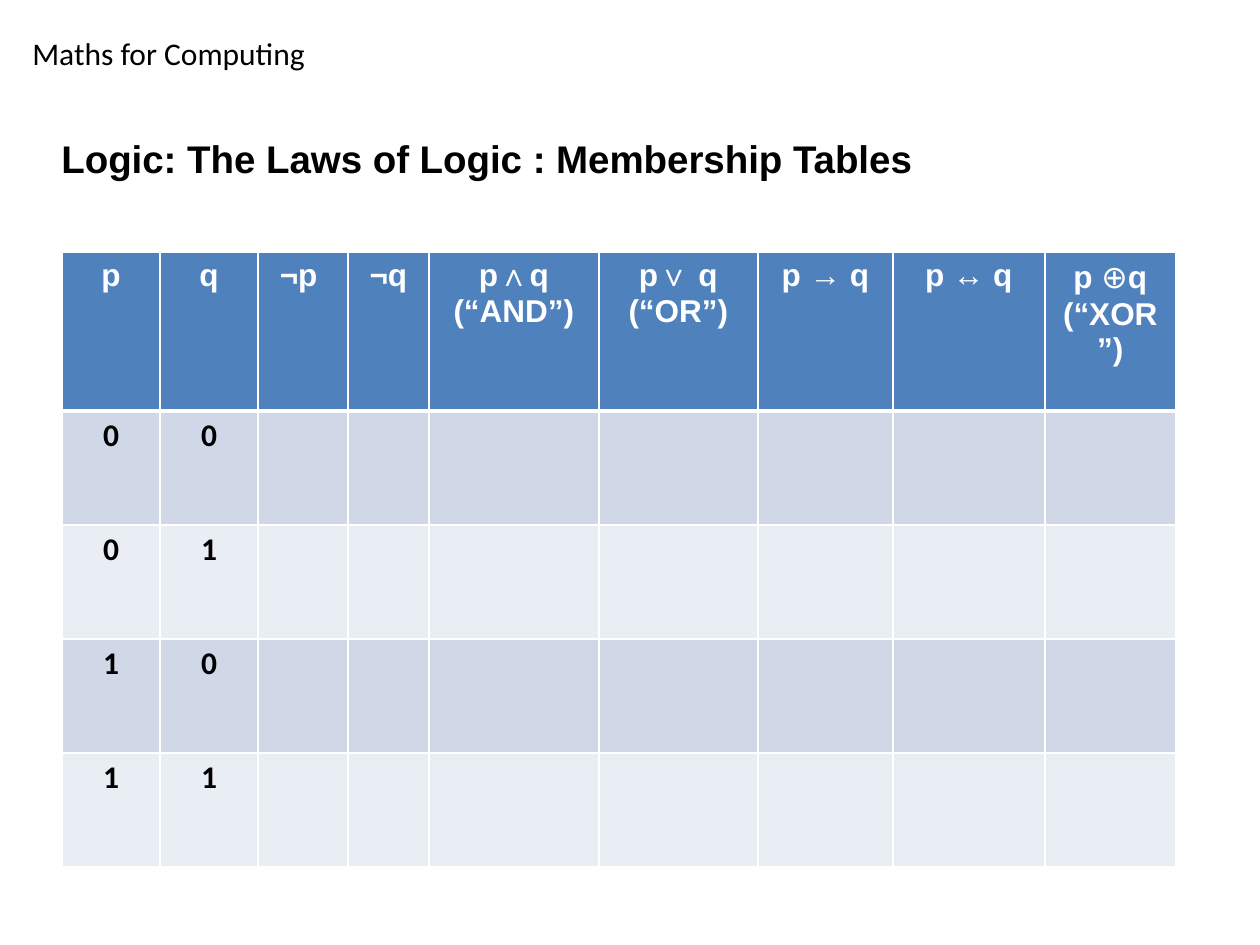
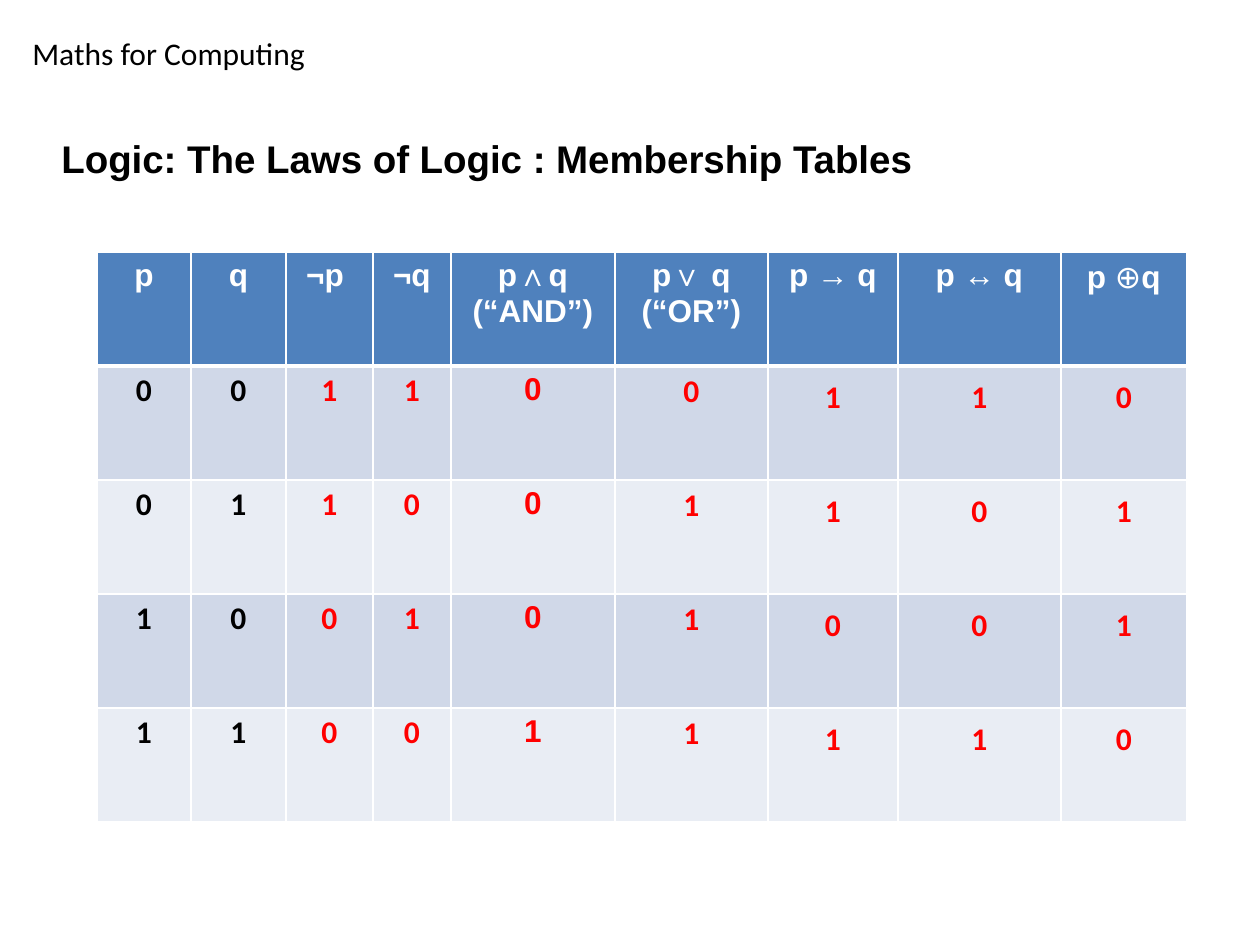
from dataclasses import dataclass
from itertools import product

from lxml.etree import SubElement
from pptx import Presentation
from pptx.dml.color import RGBColor
from pptx.enum.text import PP_ALIGN as Align
from pptx.oxml.ns import qn
from pptx.util import Pt


@dataclass(frozen=True)
class Theme:
    black: str = "000000"
    white: str = "FFFFFF"
    header: str = "4F81BD"
    bands: tuple = ("D0D8E8", "E9EDF4")
    answer: str = "FF0000"
    heading_font: str = "Arial"
    body_font: str = "Calibri"
    title_size: int = 22
    text_size: int = 18
    thin: int = 1
    thick: int = 3


THEME = Theme()
EMU_PER_PIXEL = 914400 / 126
XOR = "⊕"
HEADINGS = ["p", "q", "¬p ", "¬q", "p∧q\n(“AND”)", "p∨ q\n(“OR”)",
            "p → q", "p ↔ q", "p " + XOR + "q"]
INPUT_COUNT = 2
NARROW_COLUMNS = range(4)
AND_COLUMN = 4
SPACED_COLUMNS = (0, 1, 2, 3, 6, 7, 8)
TABLE_TOP = 252
ROW_HEIGHT = 114


def px(pixels):
    return round(pixels * EMU_PER_PIXEL)


def write_text(frame, text, size=THEME.text_size, font=THEME.body_font,
               color=THEME.black, bold=False, align=None, spaced=False, hanging=0):
    for index, line in enumerate(text.split("\n")):
        paragraph = frame.add_paragraph() if index else frame.paragraphs[0]
        paragraph.alignment = align
        if spaced:
            paragraph.line_spacing = 1.15
            paragraph.space_after = Pt(8)
        if hanging:
            properties = paragraph._p.get_or_add_pPr()
            properties.set("marL", str(px(hanging)))
            properties.set("indent", str(-px(hanging)))
        for part in filter(None, line.partition(XOR)):
            run = paragraph.add_run()
            run.text = part
            run.font.size = Pt(size)
            run.font.name = THEME.body_font if part == XOR else font
            run.font.bold = bold and part != XOR
            run.font.color.rgb = RGBColor.from_string(color)


def add_text(slide, left, top, width, height, text, **text_format):
    box = slide.shapes.add_textbox(px(left), px(top), px(width), px(height))
    box.text_frame.word_wrap = True
    write_text(box.text_frame, text, **text_format)


def style_cell(cell, fill, top, bottom):
    properties = cell._tc.get_or_add_tcPr()
    widths = {"L": THEME.thin, "R": THEME.thin, "T": top, "B": bottom}
    for side, width in widths.items():
        line = SubElement(properties, qn("a:ln" + side), w=str(Pt(width)))
        line_fill = SubElement(line, qn("a:solidFill"))
        SubElement(line_fill, qn("a:srgbClr"), val=THEME.white)
    cell.fill.solid()
    cell.fill.fore_color.rgb = RGBColor.from_string(fill)


def write_value(cell, column, value):
    if column in NARROW_COLUMNS:
        cell.margin_left = cell.margin_right = px(9)
        cell.margin_top = cell.margin_bottom = 0
    write_text(cell.text_frame, str(value), bold=True, align=Align.CENTER,
               font=THEME.heading_font if column == AND_COLUMN else THEME.body_font,
               color=THEME.black if column < INPUT_COUNT else THEME.answer,
               spaced=column in SPACED_COLUMNS)


def truth_row(p, q):
    return [p, q, 1 - p, 1 - q, p & q, p | q, int(p <= q), int(p == q), p ^ q]


def add_truth_table(slide, left, widths, headings, header_height, shown_columns):
    rows = [truth_row(p, q) for p, q in product((0, 1), repeat=INPUT_COUNT)]
    height = header_height + len(rows) * ROW_HEIGHT
    table = slide.shapes.add_table(len(rows) + 1, len(widths), px(left), px(TABLE_TOP),
                                   px(sum(widths)), px(height)).table
    table.horz_banding = False
    for column, width in zip(table.columns, widths):
        column.width = px(width)
    for index, row in enumerate(table.rows):
        row.height = px(ROW_HEIGHT if index else header_height)
    for column, heading in enumerate(headings):
        cell = table.cell(0, column)
        style_cell(cell, THEME.header, THEME.thin, THEME.thick)
        write_text(cell.text_frame, heading, font=THEME.heading_font,
                   color=THEME.white, bold=True, align=Align.CENTER)
    for index, values in enumerate(rows):
        for column, value in enumerate(values):
            cell = table.cell(index + 1, column)
            style_cell(cell, THEME.bands[index % 2],
                       THEME.thin if index else THEME.thick, THEME.thin)
            if column < shown_columns:
                write_value(cell, column, value)


def add_logic_slide(presentation):
    slide = presentation.slides.add_slide(presentation.slide_layouts[6])
    add_text(slide, 20, 28, 871, 50, "Maths for Computing")
    add_text(slide, 49, 129, 1023, 54, "Logic: The Laws of Logic : Membership Tables",
             size=THEME.title_size, font=THEME.heading_font, bold=True, hanging=48)
    return slide


def main():
    presentation = Presentation()
    presentation.slide_width = px(1260)
    presentation.slide_height = px(945)

    exercise = add_logic_slide(presentation)
    add_truth_table(exercise, 62, [98, 98, 90, 81, 170, 159, 135, 152, 131],
                    HEADINGS[:-1] + [HEADINGS[-1] + "\n(“XOR”)"],
                    header_height=159, shown_columns=INPUT_COUNT)

    solution = add_logic_slide(presentation)
    add_truth_table(solution, 97, [94, 95, 87, 78, 164, 153, 130, 163, 126],
                    HEADINGS, header_height=ROW_HEIGHT, shown_columns=len(HEADINGS))

    presentation.save("out.pptx")


main()
